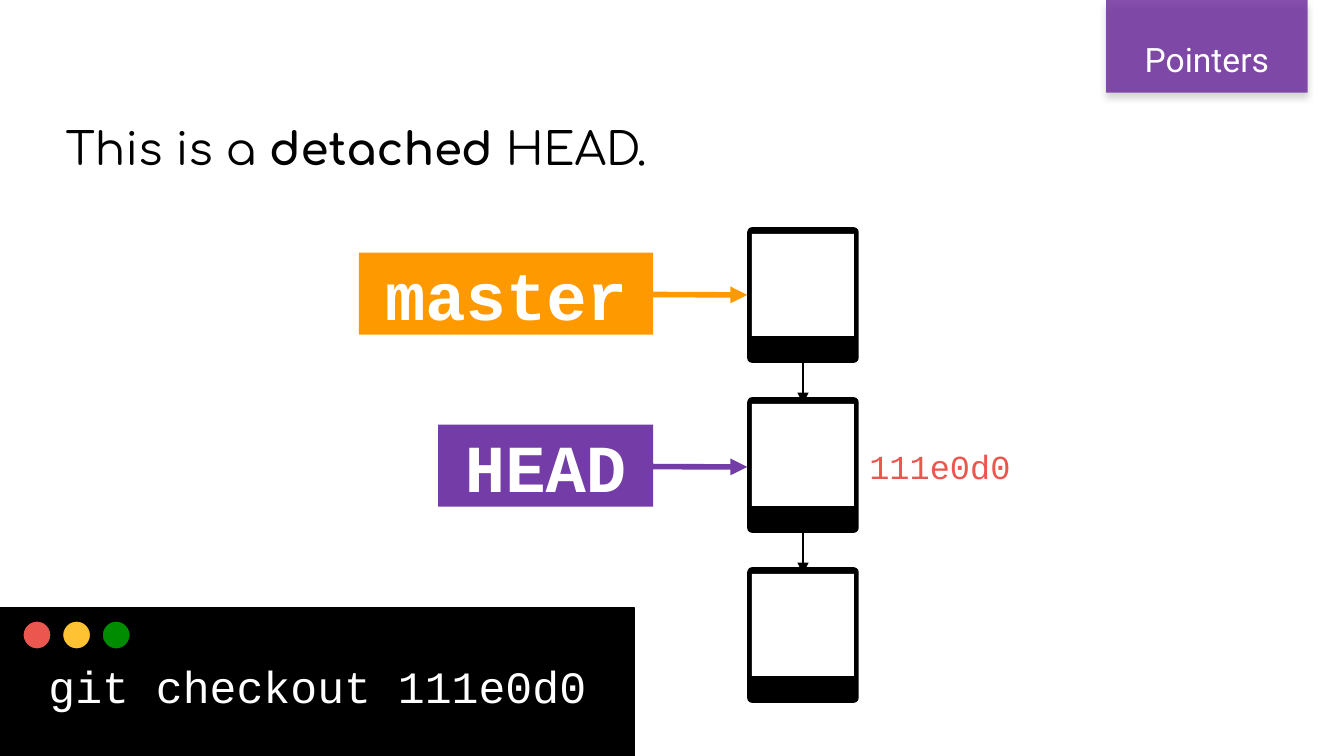
from dataclasses import dataclass

import pptx
import pptx.dml.color
import pptx.enum.dml
import pptx.enum.shapes
import pptx.enum.text
import pptx.oxml
import pptx.oxml.ns
import pptx.util

Inches = pptx.util.Inches
Pt = pptx.util.Pt
SHAPE = pptx.enum.shapes.MSO_SHAPE
ALIGN = pptx.enum.text.PP_ALIGN
ANCHOR = pptx.enum.text.MSO_ANCHOR
NS = pptx.oxml.ns.nsdecls("a")


@dataclass(frozen=True)
class Theme:
    black: str = "000000"
    white: str = "FFFFFF"
    tab: str = "7030A0"
    branch: str = "FF9900"
    head: str = "733CA6"
    red: str = "EB574F"
    yellow: str = "FFC233"
    green: str = "008C00"
    heading_font: str = "Comfortaa"
    tab_font: str = "Roboto"
    code_font: str = "Courier New"
    small: int = 18
    medium: int = 24
    large: int = 36


THEME = Theme()
SLIDE_W = 10
SLIDE_H = SLIDE_W * 9 / 16
COMMIT_LEFT, COMMIT_TOP, COMMIT_PITCH = 5.56, 1.69, 2.53 / 2
COMMIT_W, COMMIT_H, TILE = 0.83, 1.01, 0.76
LABEL_RIGHT, LABEL_H = 4.86, 0.61


def rgb(color):
    return pptx.dml.color.RGBColor.from_string(color)


def write(s, text, size, font, color=THEME.white, bold=False, bold_word=None,
          align=ALIGN.LEFT, anchor=ANCHOR.MIDDLE, spacing=None):
    """Fill a shape with one paragraph; bold_word is set bold within it."""
    tf = s.text_frame
    tf.word_wrap = True
    tf.vertical_anchor = anchor
    tf.margin_left = tf.margin_right = Inches(0.1)
    tf.margin_top = tf.margin_bottom = Inches(0.1)
    p = tf.paragraphs[0]
    p.alignment = align
    if spacing:
        p.line_spacing = spacing
    before, word, after = text.partition(bold_word) if bold_word else (text, "", "")
    for part, is_bold in ((before, bold), (word, True), (after, bold)):
        if part:
            r = p.add_run()
            r.text = part
            r.font.size = Pt(size)
            r.font.name = font
            r.font.bold = is_bold
            r.font.color.rgb = rgb(color)


def add_text(shapes, box, text, **fmt):
    s = shapes.add_textbox(*map(Inches, box))
    write(s, text, **fmt)


def add_block(shapes, kind, box, fill, line=None):
    s = shapes.add_shape(kind, *map(Inches, box))
    s.shadow.inherit = False
    s.fill.solid()
    s.fill.fore_color.rgb = rgb(fill)
    if line:
        s.line.color.rgb = rgb(line)
        s.line.width = Pt(0.75)
    else:
        s.line.fill.background()
    return s


def add_arrow(shapes, start, end, color, width):
    s = shapes.add_connector(pptx.enum.shapes.MSO_CONNECTOR.STRAIGHT,
                             *map(Inches, start + end))
    s.line.color.rgb = rgb(color)
    s.line.width = Pt(width)
    s.line._get_or_add_ln().append(
        pptx.oxml.parse_xml(f'<a:tailEnd {NS} type="triangle"/>'))
    s._element.spPr.append(pptx.oxml.parse_xml(f"<a:effectLst {NS}/>"))


def add_section_tab(shapes, text):
    """Translucent tab with a soft shadow, hanging from the top edge."""
    s = add_block(shapes, SHAPE.RECTANGLE, (8.23, 0, 1.5, 0.69), THEME.tab)
    color = s._element.spPr.find(".//" + pptx.oxml.ns.qn("a:srgbClr"))
    color.append(pptx.oxml.parse_xml(f'<a:alpha {NS} val="85000"/>'))
    effects = s._element.spPr.find(pptx.oxml.ns.qn("a:effectLst"))
    effects.append(pptx.oxml.parse_xml(
        f'<a:outerShdw {NS} blurRad="{Pt(4)}" dist="{Pt(3)}" dir="5400000" '
        f'algn="t" rotWithShape="0"><a:srgbClr val="{THEME.black}">'
        '<a:alpha val="20000"/></a:srgbClr></a:outerShdw>'))
    add_text(shapes, (8.23, 0.13, 1.5, 0.47), text, size=THEME.small,
             font=THEME.tab_font, align=ALIGN.CENTER, spacing=1.5)


def add_terminal(shapes, command):
    height = 1.1
    s = add_block(shapes, SHAPE.RECTANGLE, (0, SLIDE_H - height, 4.72, height),
                  THEME.black, line=THEME.black)
    write(s, command, size=THEME.medium, font=THEME.code_font,
          align=ALIGN.CENTER, spacing=1.15)
    buttons = shapes.add_group_shape().shapes
    for i, color in enumerate((THEME.red, THEME.yellow, THEME.green)):
        add_block(buttons, SHAPE.OVAL, (0.17 + i * 0.59 / 2, 4.62, 0.21, 0.21),
                  color, line=THEME.black)


def commit_top(index):
    return COMMIT_TOP + index * COMMIT_PITCH


def add_commit(shapes, index):
    top = commit_top(index)
    parts = shapes.add_group_shape().shapes
    frame = add_block(parts, SHAPE.ROUNDED_RECTANGLE,
                      (COMMIT_LEFT, top, COMMIT_W, COMMIT_H), THEME.black)
    frame.adjustments[0] = 0.045
    add_block(parts, SHAPE.RECTANGLE,
              (COMMIT_LEFT + (COMMIT_W - TILE) / 2, top + 0.05, TILE, TILE),
              THEME.white)


def add_parent_arrow(shapes, index):
    x = COMMIT_LEFT + COMMIT_W / 2
    add_arrow(shapes, (x, commit_top(index) + COMMIT_H),
              (x, commit_top(index + 1) + 0.05), THEME.black, 1.5)


def add_pointer(shapes, name, top, width, color):
    """Label whose arrow, starting behind it, points at a commit."""
    y = top + LABEL_H / 2
    add_arrow(shapes, (3.56, y), (COMMIT_LEFT, y + 0.01), color, 3)
    s = add_block(shapes, SHAPE.RECTANGLE,
                  (LABEL_RIGHT - width, top, width, LABEL_H), color)
    write(s, name, size=THEME.large, font=THEME.code_font, bold=True,
          align=ALIGN.CENTER)


def main():
    prs = pptx.Presentation()
    prs.slide_width, prs.slide_height = Inches(SLIDE_W), Inches(SLIDE_H)
    shapes = prs.slides.add_slide(prs.slide_layouts[6]).shapes

    add_text(shapes, (0.39, 0.42, 9.61, 1.36), "This is a detached HEAD.",
             bold_word="detached ", size=THEME.medium,
             font=THEME.heading_font, color=THEME.black)
    add_section_tab(shapes, "Pointers")
    add_terminal(shapes, "git checkout 111e0d0")
    add_text(shapes, (6.37, 3.17, 1.4, 0.61), "111e0d0", size=THEME.small,
             font=THEME.code_font, color=THEME.red, anchor=ANCHOR.TOP,
             spacing=1.15)
    for index in range(3):
        add_commit(shapes, index)
    for index in range(2):
        add_parent_arrow(shapes, index)
    add_pointer(shapes, "master", 1.88, 2.19, THEME.branch)
    add_pointer(shapes, "HEAD", 3.16, 1.6, THEME.head)
    prs.save("out.pptx")


if __name__ == "__main__":
    main()
